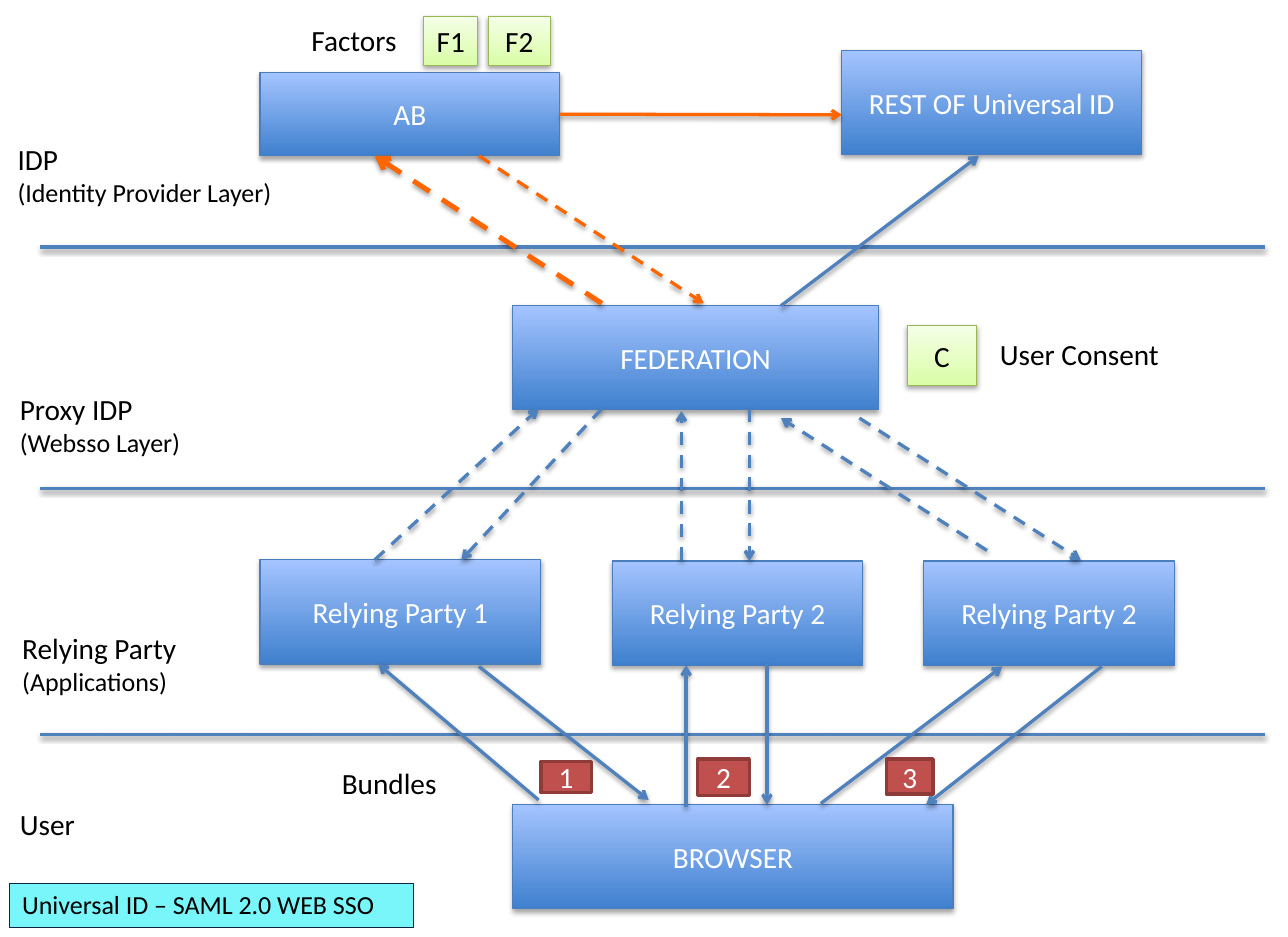
"""Layer diagram of a SAML 2.0 web single sign-on flow."""
from lxml import etree
from pptx import Presentation
from pptx.dml.color import RGBColor
from pptx.enum.dml import MSO_LINE
from pptx.enum.shapes import MSO_CONNECTOR, MSO_SHAPE
from pptx.enum.text import MSO_ANCHOR, PP_ALIGN
from pptx.oxml.ns import qn
from pptx.util import Inches, Pt

RECT, STRAIGHT, DASH = MSO_SHAPE.RECTANGLE, MSO_CONNECTOR.STRAIGHT, MSO_LINE.DASH
LEFT, CENTER = PP_ALIGN.LEFT, PP_ALIGN.CENTER
TOP, MIDDLE = MSO_ANCHOR.TOP, MSO_ANCHOR.MIDDLE

WHITE, BLACK = RGBColor(255, 255, 255), RGBColor(0, 0, 0)
BLUE, ORANGE = RGBColor(0x4F, 0x81, 0xBD), RGBColor(0xFF, 0x66, 0x00)
EDGE, DEEP, PALE = (RGBColor.from_string(c) for c in ("4B7EBC", "3F80CE", "A4C4FF"))
MOSS, LIME, MINT = (RGBColor.from_string(c) for c in ("98B955", "DAFDA7", "F5FFE7"))
RED, WINE = RGBColor(0xC0, 0x50, 0x4D), RGBColor(0x8E, 0x3B, 0x39)
CYAN, NAVY = RGBColor(0x79, 0xF6, 0xF9), RGBColor(0x0F, 0x24, 0x3E)

NODES = [
    ("BROWSER", 4.38, 6.87, 3.76, 0.89),
    ("Relying Party 1", 2.22, 4.78, 2.4, 0.89),
    ("FEDERATION", 4.38, 2.61, 3.12, 0.89),
    ("AB", 2.22, 0.62, 2.56, 0.71),
    ("REST OF Universal ID", 7.19, 0.43, 2.56, 0.89),
    ("Relying Party 2", 5.23, 4.79, 2.14, 0.89),
    ("Relying Party 2", 7.89, 4.79, 2.14, 0.89),
]
FACTORS = [
    ("F1", 3.62, 0.14, 0.46, 0.42),
    ("F2", 4.17, 0.14, 0.53, 0.42),
    ("C", 7.75, 2.78, 0.59, 0.51),
]
BADGES = [
    ("1", 4.62, 6.5, 0.43, 0.27),
    ("2", 5.96, 6.48, 0.44, 0.31),
    ("3", 7.57, 6.48, 0.4, 0.3),
]
LABELS = [
    (("IDP", "(Identity Provider Layer)"), 0.04, 1.16, 2.7, 0.68),
    (("Proxy IDP", "(Websso Layer)"), 0.06, 3.29, 1.61, 0.68),
    (("Relying Party", "(Applications)"), 0.08, 5.33, 1.55, 0.68),
    (("User",), 0.06, 6.83, 0.69, 0.41),
    (("Factors",), 2.55, 0.14, 0.95, 0.41),
    (("User Consent",), 8.43, 2.82, 1.59, 0.41),
    (("Bundles",), 2.81, 6.48, 1.04, 0.41),
]
TITLE = ("Universal ID – SAML 2.0 WEB SSO", 0.08, 7.54, 3.45, 0.38)
LAYERS = [2.11, 4.17, 6.27]
SOLID = [
    (4.6, 6.83, 3.23, 5.67), (4.09, 5.69, 5.54, 6.83),
    (5.86, 6.89, 5.86, 5.68), (6.55, 5.67, 6.55, 6.87),
    (7.01, 6.86, 8.56, 5.69), (9.41, 5.69, 7.91, 6.87),
    (6.67, 2.61, 8.36, 1.33),
]
DASHED = [
    (3.2, 4.78, 4.6, 3.49), (5.14, 3.49, 3.94, 4.78),
    (5.82, 4.78, 5.82, 3.51), (6.4, 3.49, 6.4, 4.79),
    (8.43, 4.7, 6.67, 3.57), (7.34, 3.57, 9.23, 4.78),
]
LOGIN, REPLY = (5.14, 2.59, 3.2, 1.33), (4.09, 1.33, 6.01, 2.59)
LOOKUP = (4.78, 0.98, 7.19, 0.98)


def add_shadow(item, alpha):
    props = item._element.spPr
    effects = props.find(qn("a:effectLst"))
    if effects is None:
        effects = etree.SubElement(props, qn("a:effectLst"))
    outer = etree.SubElement(effects, qn("a:outerShdw"), blurRad=str(Pt(3.1)),
                             dist=str(Pt(1.7)), dir="5400000", rotWithShape="0")
    color = etree.SubElement(outer, qn("a:srgbClr"), val="000000")
    etree.SubElement(color, qn("a:alpha"), val=str(alpha * 1000))


def write(shape, lines, color, sizes=(18, 16), align=LEFT, anchor=TOP):
    frame = shape.text_frame
    frame.margin_left = frame.margin_right = Inches(0.11)
    frame.vertical_anchor = anchor
    frame.word_wrap = False
    frame.text = "\n".join(lines)
    for para, size in zip(frame.paragraphs, sizes):
        para.alignment = align
        para.font.name = "Calibri"
        para.font.size = Pt(size)
        para.font.color.rgb = color


def add_box(shapes, place, fills, edge, width=0.75):
    box = shapes.add_shape(RECT, *map(Inches, place))
    box.line.color.rgb = edge
    box.line.width = Pt(width)
    box.shadow.inherit = False
    if len(fills) == 2:
        box.fill.gradient()
        box.fill.gradient_angle = 90
        for stop, color, spot in zip(box.fill.gradient_stops, fills, (0, 1)):
            stop.color.rgb = color
            stop.position = spot
        add_shadow(box, 35)
    else:
        box.fill.solid()
        box.fill.fore_color.rgb = fills[0]
    return box


def add_line(shapes, ends, color=BLUE, width=2, dash=None, arrow=True):
    link = shapes.add_connector(STRAIGHT, *map(Inches, ends))
    link.line.color.rgb = color
    link.line.width = Pt(width)
    if dash:
        link.line.dash_style = dash
    if arrow:
        stroke = link._element.spPr.find(qn("a:ln"))
        etree.SubElement(stroke, qn("a:tailEnd"), type="arrow")
    add_shadow(link, 38)
    return link


def main():
    deck = Presentation()
    deck.slide_width, deck.slide_height = Inches(11), Inches(8)
    shapes = deck.slides.add_slide(deck.slide_layouts[6]).shapes

    nodes = []
    for text, *place in NODES:
        node = add_box(shapes, place, (DEEP, PALE), EDGE)
        write(node, [text], WHITE, align=CENTER, anchor=MIDDLE)
        nodes.append(node)

    for y in LAYERS:
        add_line(shapes, (0.34, y, 10.8, y), arrow=False)
    for ends in SOLID:
        add_line(shapes, ends)
    for ends in DASHED:
        add_line(shapes, ends, dash=DASH)
    add_line(shapes, LOGIN, ORANGE, 3, DASH)
    add_line(shapes, REPLY, ORANGE, 2, DASH)
    add_line(shapes, LOOKUP, ORANGE).begin_connect(nodes[3], 3)

    for text, *place in FACTORS:
        box = add_box(shapes, place, (LIME, MINT), MOSS)
        write(box, [text], BLACK, align=CENTER, anchor=MIDDLE)
    for text, *place in BADGES:
        box = add_box(shapes, place, (RED,), WINE, 2)
        write(box, [text], WHITE, align=CENTER, anchor=MIDDLE)
    for lines, *place in LABELS:
        write(shapes.add_textbox(*map(Inches, place)), lines, BLACK)

    text, *place = TITLE
    write(add_box(shapes, place, (CYAN,), NAVY), [text], BLACK, sizes=(16,))
    deck.save("out.pptx")


if __name__ == "__main__":
    main()
